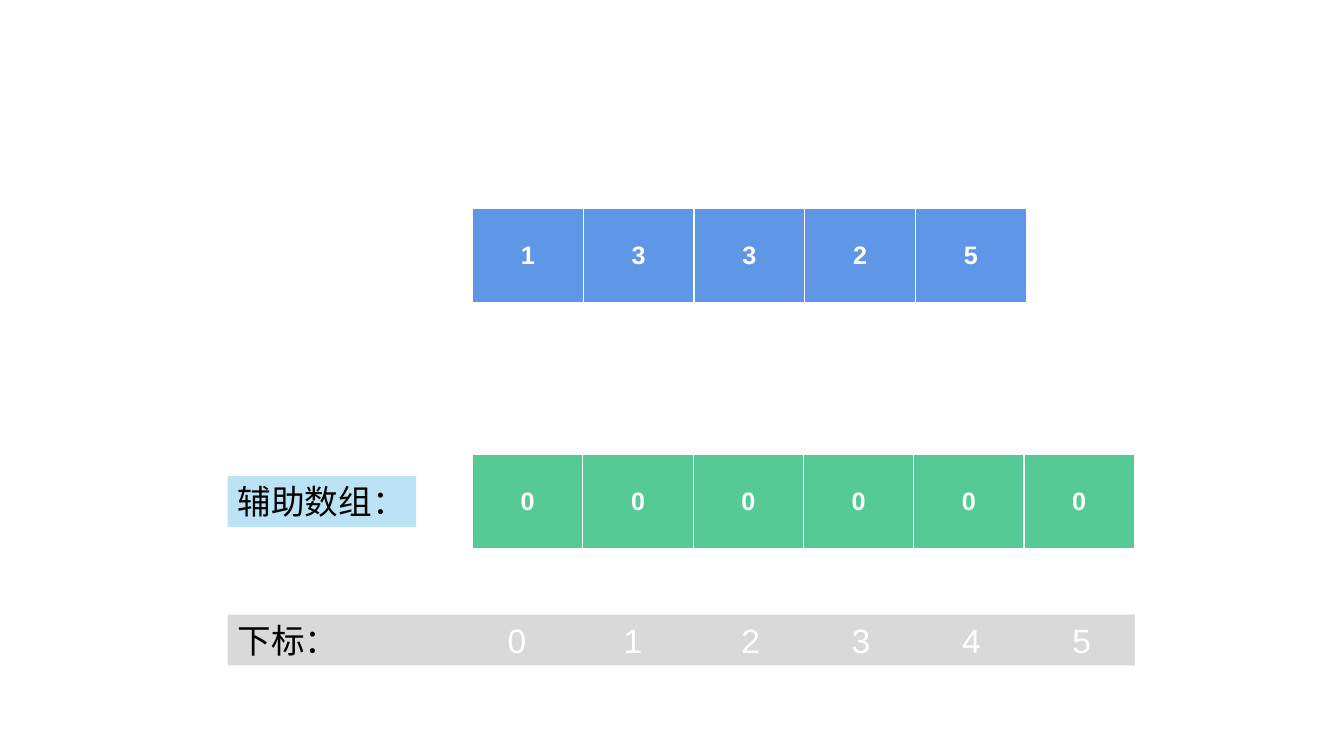
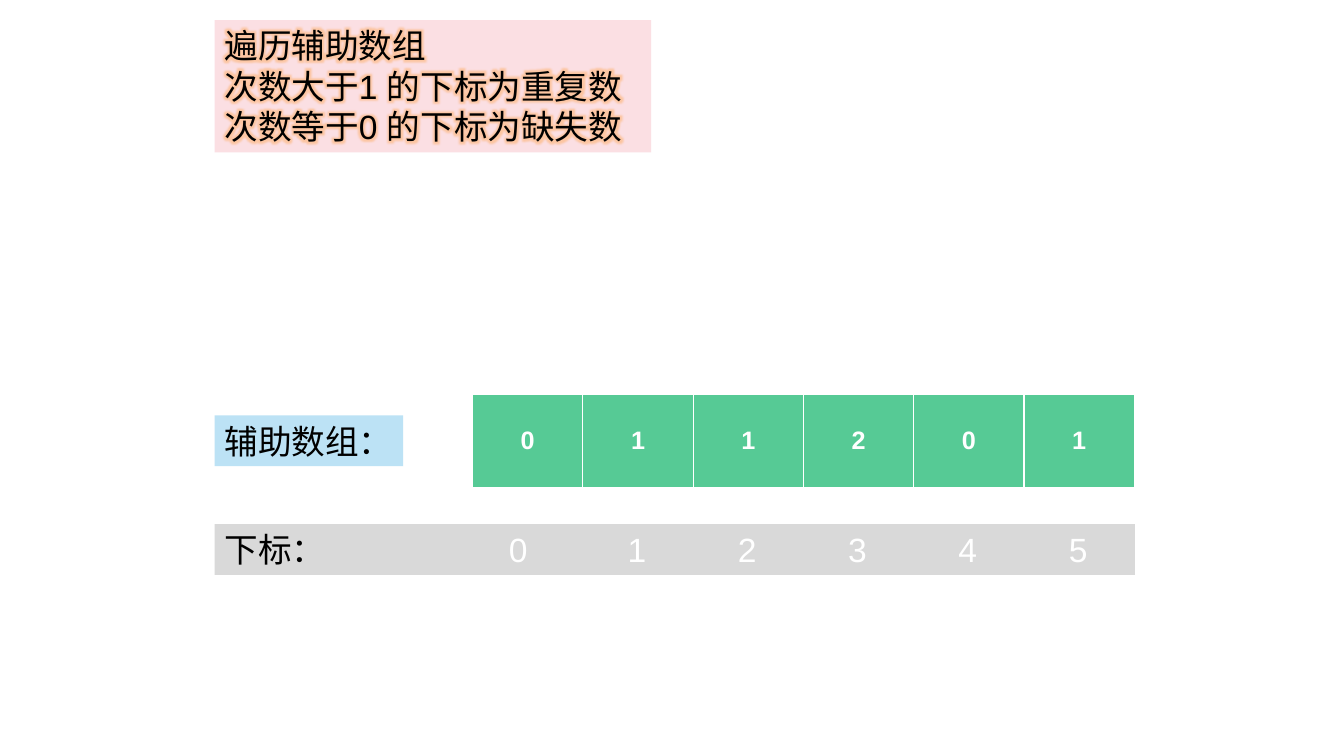
from lxml import etree
from pptx import Presentation
from pptx.dml.color import RGBColor
from pptx.enum.text import MSO_ANCHOR, MSO_AUTO_SIZE, PP_ALIGN
from pptx.oxml.ns import qn
from pptx.util import Cm, Pt

# Shared style
FONT = "Arial"
BLACK, WHITE = "000000", "FFFFFF"
BLUE, GREEN = "6096E6", "56CA95"
LABEL_FILL, INDEX_FILL, RULE_FILL = "BCE2F5", "D9D9D9", "FBDFE3"
GLOW = "FFA040"

# Shared layout, in centimetres
ARRAY_LEFT, ARRAY_RIGHT = 11.91, 28.6
INPUT_CELL, COUNT_CELL = 2.79, 2.78
CELL_HEIGHT, LINE_HEIGHT, INSET = 2.36, 1.28, 0.25


def colour(hex_value):
    return RGBColor.from_string(hex_value)


def style_font(font, size, hex_value, bold=False):
    font.name = FONT
    font.size = Pt(size)
    font.bold = bold
    font.color.rgb = colour(hex_value)


def add_array(slide, top, values, cell_width, fill):
    """One-row table that shows the values of an array."""
    frame = slide.shapes.add_table(
        1, len(values), Cm(ARRAY_LEFT), Cm(top),
        Cm(cell_width * len(values)), Cm(CELL_HEIGHT))
    table = frame.table
    table.horz_banding = False
    for column, value in enumerate(values):
        table.columns[column].width = Cm(cell_width)
        cell = table.cell(0, column)
        cell.fill.solid()
        cell.fill.fore_color.rgb = colour(fill)
        cell.vertical_anchor = MSO_ANCHOR.MIDDLE
        cell.text = str(value)
        paragraph = cell.text_frame.paragraphs[0]
        paragraph.alignment = PP_ALIGN.CENTER
        style_font(paragraph.font, 18, WHITE, bold=True)


def add_box(slide, left, top, width, height, fill):
    """Filled text box; returns its text frame."""
    box = slide.shapes.add_textbox(Cm(left), Cm(top), Cm(width), Cm(height))
    box.fill.solid()
    box.fill.fore_color.rgb = colour(fill)
    frame = box.text_frame
    frame.word_wrap = True
    frame.auto_size = MSO_AUTO_SIZE.SHAPE_TO_FIT_TEXT
    return frame


def add_lines(frame, lines):
    frame.text = "\n".join(lines)
    for paragraph in frame.paragraphs:
        style_font(paragraph.font, 24, BLACK)


def add_glow(paragraph, radius, hex_value, opacity):
    for run in paragraph.runs:
        effects = etree.SubElement(run.font._element, qn("a:effectLst"))
        glow = etree.SubElement(effects, qn("a:glow"), rad=str(Pt(radius)))
        tint = etree.SubElement(glow, qn("a:srgbClr"), val=hex_value)
        etree.SubElement(tint, qn("a:alpha"), val=str(opacity * 1000))


def add_index_bar(slide, left, top, centres):
    """Grey bar with one index centred on each tab stop."""
    frame = add_box(slide, left, top, ARRAY_RIGHT - left, LINE_HEIGHT, INDEX_FILL)
    paragraph = frame.paragraphs[0]
    stops = etree.SubElement(paragraph._p.get_or_add_pPr(), qn("a:tabLst"))
    for centre in centres:
        etree.SubElement(stops, qn("a:tab"),
                         pos=str(Cm(centre - left - INSET)), algn="ctr")
    style_font(paragraph.font, 24, BLACK)
    paragraph.add_run().text = "下标："
    indices = paragraph.add_run()
    indices.text = "".join(f"\t{index}" for index in range(len(centres)))
    indices.font.color.rgb = colour(WHITE)


def add_count_rows(slide, left, array_top, counts, index_top, centres):
    """Helper array with its label and the index bar below it."""
    add_array(slide, array_top, counts, COUNT_CELL, GREEN)
    label = add_box(slide, left, array_top + 0.54, 4.75, LINE_HEIGHT, LABEL_FILL)
    add_lines(label, ["辅助数组："])
    add_index_bar(slide, left, index_top, centres)


def index_centres(leading, first_even, count):
    """Hand-set leading centres, then even steps of one cell."""
    return leading + [first_even + COUNT_CELL * step for step in range(count)]


def build_start(slide):
    add_array(slide, 5.26, [1, 3, 3, 2, 5], INPUT_CELL, BLUE)
    add_count_rows(slide, 5.74, 11.46, [0] * 6, 15.49,
                   index_centres([13.03, 15.95], 18.92, 4))


def build_result(slide):
    add_count_rows(slide, 5.41, 9.93, [0, 1, 1, 2, 0, 1], 13.21,
                   index_centres([13.06], 16.05, 5))
    rules = add_box(slide, 5.41, 0.51, 11, 3.33, RULE_FILL)
    add_lines(rules, ["遍历辅助数组",
                      "次数大于1 的下标为重复数",
                      "次数等于0 的下标为缺失数"])
    for paragraph in rules.paragraphs:
        add_glow(paragraph, 8, GLOW, 40)


def main():
    presentation = Presentation()
    presentation.slide_width = Cm(33.87)
    presentation.slide_height = Cm(19.05)
    blank = presentation.slide_layouts[6]
    for build in (build_start, build_result):
        build(presentation.slides.add_slide(blank))
    presentation.save("out.pptx")


if __name__ == "__main__":
    main()
